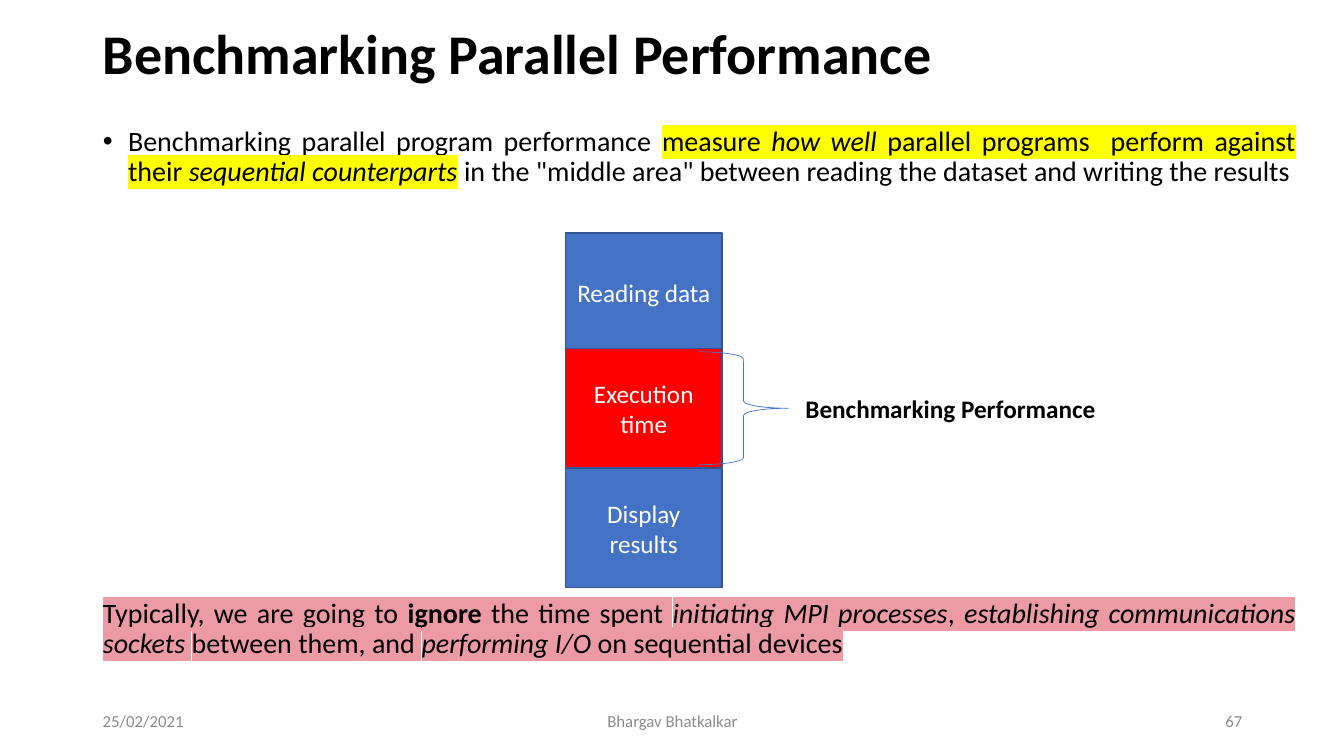
from dataclasses import dataclass
from typing import NamedTuple

from lxml import etree
from pptx import Presentation
from pptx.dml.color import RGBColor
from pptx.enum.shapes import MSO_SHAPE
from pptx.enum.text import MSO_ANCHOR, MSO_AUTO_SIZE, PP_ALIGN
from pptx.oxml.ns import qn
from pptx.util import Inches, Pt

RECT, BRACE = MSO_SHAPE.RECTANGLE, MSO_SHAPE.RIGHT_BRACE
MIDDLE, TOP = MSO_ANCHOR.MIDDLE, MSO_ANCHOR.TOP
LEFT, CENTER, RIGHT = PP_ALIGN.LEFT, PP_ALIGN.CENTER, PP_ALIGN.RIGHT
JUSTIFY = PP_ALIGN.JUSTIFY
NO_FIT = MSO_AUTO_SIZE.NONE

COLORS = {
    "black": "000000", "white": "FFFFFF", "gray": "8B8B8B",
    "blue": "4472C4", "navy": "325490", "red": "FF0000",
    "yellow": "FFFF00", "pink": "EC9BA4",
}


class Span(NamedTuple):
    text: str
    mark: str = ""
    italic: bool = False
    bold: bool = False


@dataclass
class Stage:
    name: str
    top: float
    fill: str


@dataclass
class Label:
    text: str
    left: float
    top: float
    width: float
    size: int = 12
    color: str = "gray"
    align: PP_ALIGN = LEFT
    anchor: MSO_ANCHOR = MIDDLE
    bold: bool = False


CLAIM = [
    Span("Benchmarking parallel program performance "),
    Span("measure ", "yellow"),
    Span("how well ", "yellow", italic=True),
    Span("parallel programs  perform against their ", "yellow"),
    Span("sequential counterparts", "yellow", italic=True),
    Span(" ", italic=True),
    Span('in the "middle area" between reading the dataset and writing the results'),
]
CAVEAT = [
    Span("Typically, we are going to ", "pink"),
    Span("ignore", "pink", bold=True),
    Span(" the time spent ", "pink"),
    Span("initiating MPI processes", "pink", italic=True),
    Span(", ", "pink"),
    Span("establishing communications sockets ", "pink", italic=True),
    Span("between them, and ", "pink"),
    Span("performing I/O ", "pink", italic=True),
    Span("on sequential devices", "pink"),
]
STAGES = [
    Stage("Reading data", 2.31, "blue"),
    Stage("Display results", 4.65, "blue"),
    Stage("Execution time", 3.46, "red"),
]
LABELS = [
    Label("25/02/2021", 0.92, 6.95, 3),
    Label("Bhargav Bhatkalkar", 4.42, 6.95, 4.5, align=CENTER),
    Label("67", 9.42, 6.95, 3, align=RIGHT),
    Label("Benchmarking Performance", 7.89, 3.85, 3.29, 18, "black",
          anchor=TOP, bold=True),
]


def rgb(name: str) -> RGBColor:
    return RGBColor.from_string(COLORS[name])


def style(para, size: int, color: str, align: PP_ALIGN, bold: bool = False) -> None:
    para.alignment = align
    font = para.font
    font.name, font.size, font.bold = "Calibri", Pt(size), bold
    font.color.rgb = rgb(color)


def place(shape, left: float, top: float, width: float, height: float) -> None:
    shape.left, shape.top = Inches(left), Inches(top)
    shape.width, shape.height = Inches(width), Inches(height)


def add_title(slide) -> None:
    title = slide.shapes.title
    place(title, 0.92, 0.15, 11.5, 0.82)
    frame = title.text_frame
    frame.text = "Benchmarking Parallel Performance"
    frame.vertical_anchor, frame.auto_size = MIDDLE, NO_FIT
    para = frame.paragraphs[0]
    style(para, 40, "black", LEFT, bold=True)
    para.line_spacing = 0.9


def fill_para(para, spans: list[Span], before: int, indent: float) -> None:
    """Write the spans; a zero indent also drops the bullet."""
    style(para, 20, "black", JUSTIFY)
    para.line_spacing, para.space_before = 0.9, Pt(before)
    props = para._p.get_or_add_pPr()
    props.set("marL", str(Inches(indent)))
    props.set("indent", str(-Inches(indent)))
    if not indent:
        bullet = etree.Element(qn("a:buNone"))
        props.find(qn("a:defRPr")).addprevious(bullet)
    for span in spans:
        run = para.add_run()
        run.text = span.text
        if span.italic:
            run.font.italic = True
        if span.bold:
            run.font.bold = True
        if span.mark:
            mark = etree.SubElement(run._r.get_or_add_rPr(), qn("a:highlight"))
            etree.SubElement(mark, qn("a:srgbClr"), val=COLORS[span.mark])


def add_body(slide) -> None:
    body = slide.placeholders[1]
    place(body, 0.92, 1.21, 12.03, 5.25)
    frame = body.text_frame
    frame.auto_size, frame.vertical_anchor = NO_FIT, TOP
    fill_para(frame.paragraphs[0], CLAIM, before=10, indent=0.25)
    fill_para(frame.add_paragraph(), CAVEAT, before=294, indent=0)


def add_stage(slide, stage: Stage) -> None:
    box = slide.shapes.add_shape(RECT, Inches(5.61), Inches(stage.top),
                                 Inches(1.55), Inches(1.18))
    box.shadow.inherit = False
    box.fill.solid()
    box.fill.fore_color.rgb = rgb(stage.fill)
    box.line.color.rgb, box.line.width = rgb("navy"), Pt(1)
    frame = box.text_frame
    frame.text, frame.word_wrap = stage.name, True
    frame.vertical_anchor = MIDDLE
    style(frame.paragraphs[0], 18, "white", CENTER)


def add_brace(slide) -> None:
    brace = slide.shapes.add_shape(BRACE, Inches(6.93), Inches(3.49),
                                   Inches(0.89), Inches(1.12))
    brace.shadow.inherit = False
    brace.adjustments[0], brace.adjustments[1] = 0.08, 0.5
    brace.fill.background()
    brace.line.color.rgb, brace.line.width = rgb("blue"), Pt(0.5)


def add_label(slide, label: Label) -> None:
    box = slide.shapes.add_textbox(Inches(label.left), Inches(label.top),
                                   Inches(label.width), Inches(0.4))
    frame = box.text_frame
    frame.text, frame.word_wrap = label.text, True
    frame.vertical_anchor = label.anchor
    style(frame.paragraphs[0], label.size, label.color, label.align, label.bold)


def main() -> None:
    deck = Presentation()
    deck.slide_width, deck.slide_height = Inches(13.33), Inches(7.5)
    slide = deck.slides.add_slide(deck.slide_layouts[1])
    add_title(slide)
    add_body(slide)
    for stage in STAGES:
        add_stage(slide, stage)
    add_brace(slide)
    for label in LABELS:
        add_label(slide, label)
    deck.save("out.pptx")


if __name__ == "__main__":
    main()
